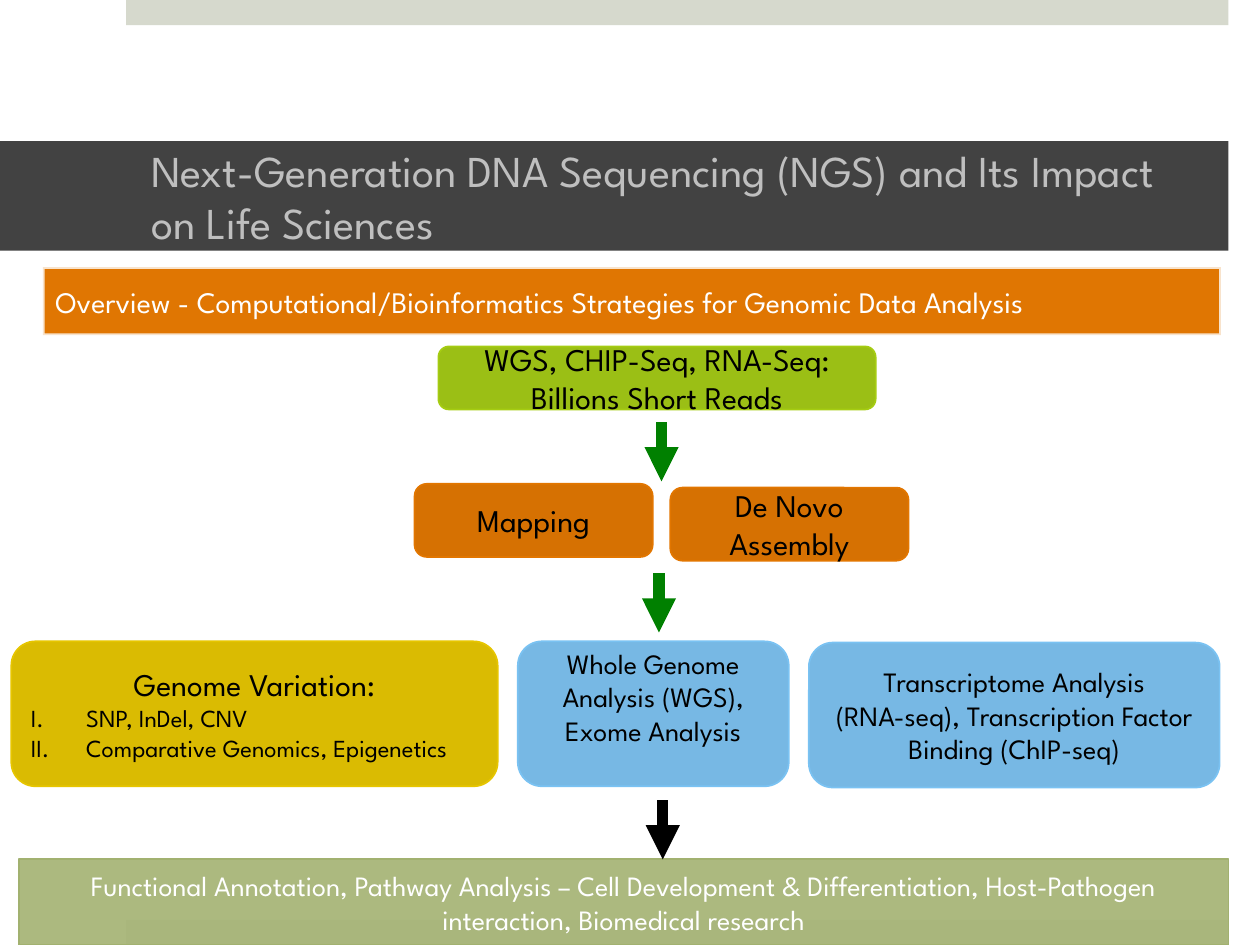
"""Build the overview slide on sequencing data analysis strategies."""
from lxml import etree
from pptx import Presentation
from pptx.dml.color import RGBColor
from pptx.enum.shapes import MSO_CONNECTOR, MSO_SHAPE
from pptx.enum.text import MSO_ANCHOR, PP_ALIGN
from pptx.oxml.ns import qn
from pptx.util import Inches, Pt

RECT, ROUND = MSO_SHAPE.RECTANGLE, MSO_SHAPE.ROUNDED_RECTANGLE
LEFT, CENTER = PP_ALIGN.LEFT, PP_ALIGN.CENTER
MIDDLE, STRAIGHT = MSO_ANCHOR.MIDDLE, MSO_CONNECTOR.STRAIGHT

THEME = {
    "font": "League Spartan",
    "title": 25.2, "banner": 17, "step": 18, "detail": 16, "item": 14,
    "border": 1, "arrow": 6.5,
    "white": "FFFFFF", "black": "000000", "silver": "BFBFBF",
    "green": "008000",
}
STYLES = {
    "top edge": {"shape": RECT, "fill": "D6D9CD"},
    "bottom edge": {"shape": RECT, "fill": "E4E6DE"},
    "title": {"shape": RECT, "fill": "424242", "ink": "silver", "align": LEFT,
              "insets": {"margin_left": 1.2, "margin_right": 0.3}},
    "banner": {"shape": RECT, "fill": "E07602", "line": "FFFFFF", "width": 2,
               "line_alpha": 80, "ink": "white", "align": LEFT},
    "reads": {"shape": ROUND, "fill": "9BBF15", "line": "A5CC12"},
    "method": {"shape": ROUND, "fill": "D67102", "line": "E27600"},
    "variation": {"shape": ROUND, "fill": "DABB02", "line": "E6C500"},
    "analysis": {"shape": ROUND, "fill": "77B8E4", "line": "7AC2F2"},
    "raised analysis": {"shape": ROUND, "fill": "77B8E4", "line": "7AC2F2",
                        "insets": {"margin_bottom": 0.32}},
    "outcome": {"shape": RECT, "fill": "A2B170", "line": "A2B170",
                "fill_alpha": 89, "ink": "white"},
}

COLUMNS, ROWS = 100, 75
BLOCKS = [
    ("top edge", (10, 0, 87.5, 2), []),
    ("bottom edge", (10, 73, 87.5, 2), []),
    ("title", (0, 11.2, 97.5, 8.7),
     [("title", "Next-Generation DNA Sequencing (NGS) and Its Impact on Life Sciences")]),
    ("reads", (34.8, 27.5, 34.7, 5),
     [("step", "WGS, CHIP-Seq, RNA-Seq: Billions Short Reads")]),
    ("method", (32.9, 38.4, 18.9, 5.8), [("step", "Mapping")]),
    ("method", (53.2, 38.7, 18.9, 5.8), [("step", "De Novo Assembly")]),
    ("variation", (0.9, 50.9, 38.6, 11.5),
     [("step", "Genome Variation:"),
      ("item", "SNP, InDel, CNV"),
      ("item", "Comparative Genomics, Epigenetics")]),
    ("analysis", (64.2, 51, 32.6, 11.5),
     [("detail", "Transcriptome Analysis"),
      ("detail", "(RNA-seq), Transcription Factor Binding (ChIP-seq)")]),
    ("raised analysis", (41.1, 50.9, 21.5, 11.5),
     [("detail", "Whole Genome Analysis (WGS), Exome Analysis")]),
    ("outcome", (1.5, 68.2, 96, 6.8),
     [("detail", "Functional Annotation, Pathway Analysis – Cell Development & "
                 "Differentiation, Host-Pathogen interaction, Biomedical research")]),
    ("banner", (3.4, 21.2, 93.5, 5.4),
     [("banner", "Overview - Computational/Bioinformatics Strategies for Genomic Data Analysis")]),
]
ARROW_LENGTH = 4.7
ARROWS = [(52.5, 33.5, "green"), (52.3, 45.5, "green"), (52.6, 63.5, "black")]


def apply(target, values):
    for attribute, value in values.items():
        setattr(target, attribute, value)


def set_alpha(color_format, percent):
    color = color_format._xFill.find(qn("a:srgbClr"))
    etree.SubElement(color, qn("a:alpha"), val=str(percent * 1000))


def paint(fill, color, alpha=None):
    fill.solid()
    fill.fore_color.rgb = RGBColor.from_string(color)
    if alpha:
        set_alpha(fill.fore_color, alpha)


def number_item(paragraph):
    indent = Inches(0.44)
    properties = paragraph._p.get_or_add_pPr()
    properties.set("marL", str(indent))
    properties.set("indent", str(-indent))
    etree.SubElement(properties, qn("a:buFont"), typeface=THEME["font"])
    etree.SubElement(properties, qn("a:buAutoNum"), type="romanUcPeriod")


def write(frame, entries, style):
    apply(frame, {"word_wrap": True, "vertical_anchor": MIDDLE})
    apply(frame, {side: Inches(size) for side, size in style.get("insets", {}).items()})
    for index, (role, words) in enumerate(entries):
        paragraph = frame.add_paragraph() if index else frame.paragraphs[0]
        paragraph.alignment = LEFT if role == "item" else style.get("align", CENTER)
        if role == "item":
            number_item(paragraph)
        run = paragraph.add_run()
        run.text = words
        apply(run.font, {"name": THEME["font"], "size": Pt(THEME[role])})
        run.font.color.rgb = RGBColor.from_string(THEME[style.get("ink", "black")])


def add_block(slide, cell, style_name, place, entries):
    style = STYLES[style_name]
    block = slide.shapes.add_shape(style["shape"], *(round(cell * part) for part in place))
    block.shadow.inherit = False
    paint(block.fill, style["fill"], style.get("fill_alpha"))
    if "line" in style:
        block.line.width = Pt(style.get("width", THEME["border"]))
        paint(block.line.fill, style["line"], style.get("line_alpha"))
    else:
        block.line.fill.background()
    if entries:
        write(block.text_frame, entries, style)


def add_arrow(slide, cell, column, row, color):
    ends = (column, row, column, row + ARROW_LENGTH)
    arrow = slide.shapes.add_connector(STRAIGHT, *(round(cell * part) for part in ends))
    arrow.line.width = Pt(THEME["arrow"])
    paint(arrow.line.fill, THEME[color])
    etree.SubElement(arrow.line._get_or_add_ln(), qn("a:tailEnd"), type="triangle")
    etree.SubElement(arrow._element.spPr, qn("a:effectLst"))


def main():
    deck = Presentation()
    apply(deck, {"slide_width": Inches(10), "slide_height": Inches(7.5)})
    slide = deck.slides.add_slide(deck.slide_layouts[6])
    cell = min(deck.slide_width / COLUMNS, deck.slide_height / ROWS)
    for style_name, place, entries in BLOCKS:
        add_block(slide, cell, style_name, place, entries)
    for column, row, color in ARROWS:
        add_arrow(slide, cell, column, row, color)
    deck.save("out.pptx")


if __name__ == "__main__":
    main()
